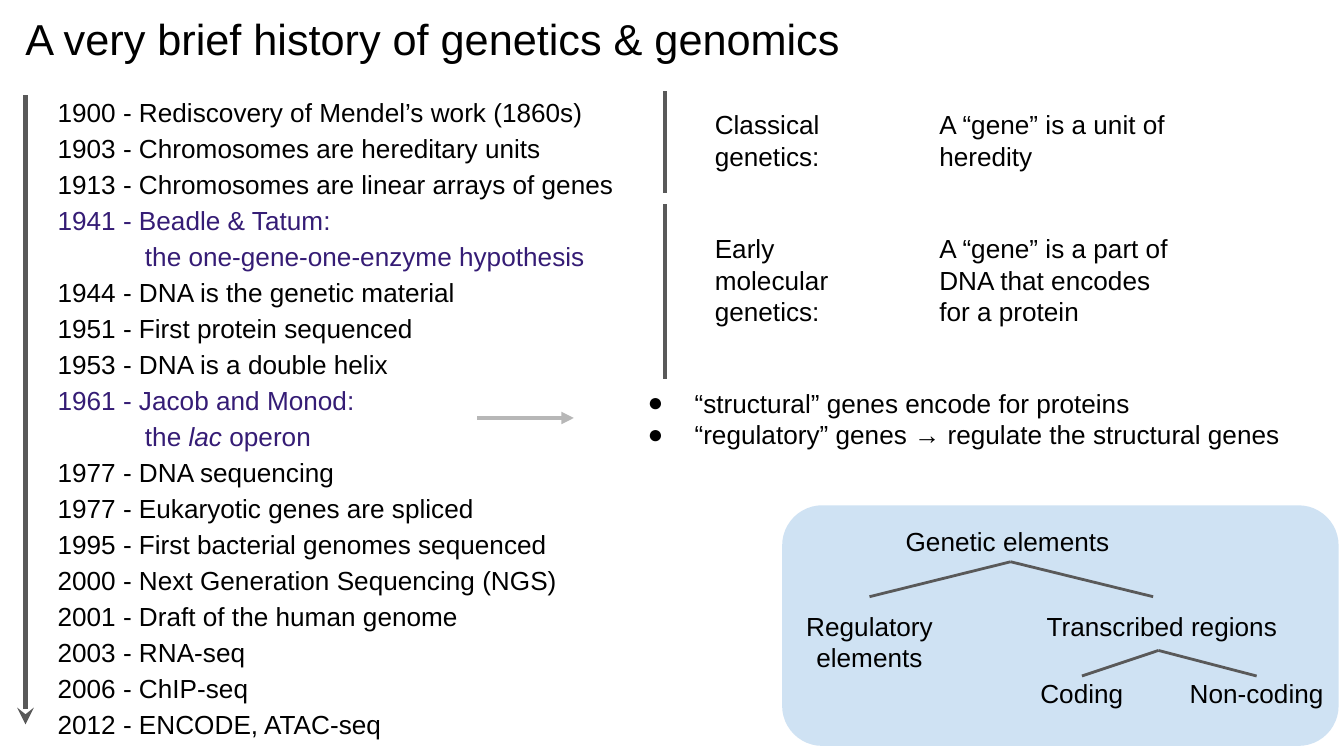
from lxml.etree import SubElement
from pptx import Presentation
from pptx.dml.color import RGBColor
from pptx.enum.shapes import MSO_CONNECTOR, MSO_SHAPE
from pptx.enum.text import PP_ALIGN
from pptx.oxml.ns import qn
from pptx.util import Inches, Pt

COLORS = {"text": "000000", "highlight": "351C75", "line": "595959",
          "arrow": "B7B7B7", "panel": "CFE2F3"}
FONT = "Arial"
BODY_SIZE = 14

TITLE = "A very brief history of genetics & genomics"

# Each event: year, headline, then optional second-line runs (text, italic)
EVENTS = [
    ("1900", "Rediscovery of Mendel’s work (1860s)", []),
    ("1903", "Chromosomes are hereditary units", []),
    ("1913", "Chromosomes are linear arrays of genes", []),
    ("1941", "Beadle & Tatum:", [("the one-gene-one-enzyme hypothesis", False)]),
    ("1944", "DNA is the genetic material", []),
    ("1951", "First protein sequenced", []),
    ("1953", "DNA is a double helix", []),
    ("1961", "Jacob and Monod:", [("the ", False), ("lac", True), (" operon", False)]),
    ("1977", "DNA sequencing", []),
    ("1977", "Eukaryotic genes are spliced", []),
    ("1995", "First bacterial genomes sequenced", []),
    ("2000", "Next Generation Sequencing (NGS)", []),
    ("2001", "Draft of the human genome", []),
    ("2003", "RNA-seq", []),
    ("2006", "ChIP-seq", []),
    ("2012", "ENCODE, ATAC-seq", []),
]

# Each era: text top, height, bar top, bar bottom, name lines, definition
ERAS = [
    (0.71, 0.67, 0.68, 1.44, ["Classical genetics:"],
     "A “gene” is a unit of heredity"),
    (1.63, 0.91, 1.52, 2.82, ["Early", "molecular genetics:"],
     "A “gene” is a part of DNA that encodes for a protein"),
]

GENE_KINDS = ["“structural” genes encode for proteins",
              "“regulatory” genes → regulate the structural genes"]

# Each tree label: text, (left, top, width, height), alignment
TREE_LABELS = [
    ("Genetic elements", (6.64, 3.81, 1.86, 0.44), PP_ALIGN.LEFT),
    ("Regulatory elements", (5.9, 4.44, 1.14, 0.67), PP_ALIGN.CENTER),
    ("Transcribed regions", (7.65, 4.44, 1.99, 0.44), PP_ALIGN.CENTER),
    ("Coding", (7.57, 4.94, 0.96, 0.44), PP_ALIGN.CENTER),
    ("Non-coding", (8.74, 4.94, 1.22, 0.44), PP_ALIGN.CENTER),
]
# Each fork: apex, then the ends of its branches
TREE_FORKS = [
    ((7.52, 4.18), [(6.47, 4.44), (8.58, 4.44)]),
    ((8.62, 4.84), [(8.05, 5.03), (9.35, 5.03)]),
]

presentation = Presentation()
presentation.slide_width = Inches(10)
presentation.slide_height = Inches(10 * 9 / 16)
slide = presentation.slides.add_slide(presentation.slide_layouts[6])


def color(name):
    return RGBColor.from_string(COLORS[name])


def add_run(paragraph, text, size=BODY_SIZE, color_name="text", italic=False):
    run = paragraph.add_run()
    run.text = text
    run.font.name = FONT
    run.font.size = Pt(size)
    run.font.italic = italic
    run.font.color.rgb = color(color_name)


def add_frame(box):
    frame = slide.shapes.add_textbox(*map(Inches, box)).text_frame
    frame.word_wrap = True
    frame.margin_left = frame.margin_right = Inches(0.1)
    frame.margin_top = frame.margin_bottom = Inches(0.1)
    return frame


def paragraphs_for(frame, items):
    """Yield one paragraph of the frame together with each item."""
    for index, item in enumerate(items):
        yield (frame.add_paragraph() if index else frame.paragraphs[0]), item


def add_text(box, lines, size=BODY_SIZE, alignment=PP_ALIGN.LEFT):
    frame = add_frame(box)
    for paragraph, line in paragraphs_for(frame, lines):
        paragraph.alignment = alignment
        add_run(paragraph, line, size)
    return frame


def hang(paragraph, left, first):
    """Set the left margin and first-line indent, in inches."""
    properties = paragraph._p.get_or_add_pPr()
    properties.set("marL", str(Inches(left)))
    properties.set("indent", str(Inches(first)))
    return properties


def add_line(start, end, width, color_name="line", head=None):
    line = slide.shapes.add_connector(
        MSO_CONNECTOR.STRAIGHT, *map(Inches, (*start, *end)))
    line.line.color.rgb = color(color_name)
    line.line.width = Pt(width)
    if head:
        SubElement(line.line._get_or_add_ln(), qn("a:tailEnd"), type=head)
    SubElement(line._element.spPr, qn("a:effectLst"))


def add_timeline():
    frame = add_frame((0.33, 0.58, 5.29, 5.04))
    for paragraph, (year, headline, detail) in paragraphs_for(frame, EVENTS):
        color_name = "highlight" if detail else "text"
        paragraph.line_spacing = 1.15
        add_run(paragraph, f"{year} - {headline}", color_name=color_name)
        if detail:
            hang(paragraph, 0.65, -0.65)
            paragraph.add_line_break()
        for text, italic in detail:
            add_run(paragraph, text, color_name=color_name, italic=italic)
    add_line((0.19, 0.71), (0.19, 5.39), 3, head="stealth")


def add_gene_kinds():
    frame = add_text((4.57, 2.78, 5.23, 0.67), GENE_KINDS)
    for paragraph in frame.paragraphs:
        properties = hang(paragraph, 0.5, -0.35)
        bullet_color = SubElement(properties, qn("a:buClr"))
        SubElement(bullet_color, qn("a:srgbClr"), val=COLORS["text"])
        SubElement(properties, qn("a:buFont"), typeface=FONT)
        SubElement(properties, qn("a:buChar"), char="●")
    add_line((3.55, 3.11), (4.27, 3.11), 2.25, "arrow", "triangle")


panel = slide.shapes.add_shape(
    MSO_SHAPE.ROUNDED_RECTANGLE, *map(Inches, (5.82, 3.76, 4.14, 1.79)))
panel.shadow.inherit = False
panel.fill.solid()
panel.fill.fore_color.rgb = color("panel")
panel.line.fill.background()

add_timeline()
add_text((0.09, -0.01, 9.32, 0.63), [TITLE], size=23.2)

for top, height, bar_top, bar_bottom, name_lines, definition in ERAS:
    add_line((4.95, bar_top), (4.95, bar_bottom), 2.25)
    add_text((5.22, top, 1.31, height), name_lines)
    add_text((6.89, top, 1.99, height), [definition])

add_gene_kinds()

for label, box, alignment in TREE_LABELS:
    add_text(box, [label], alignment=alignment)
for apex, ends in TREE_FORKS:
    for end in ends:
        add_line(apex, end, 1.5)

presentation.save("out.pptx")
